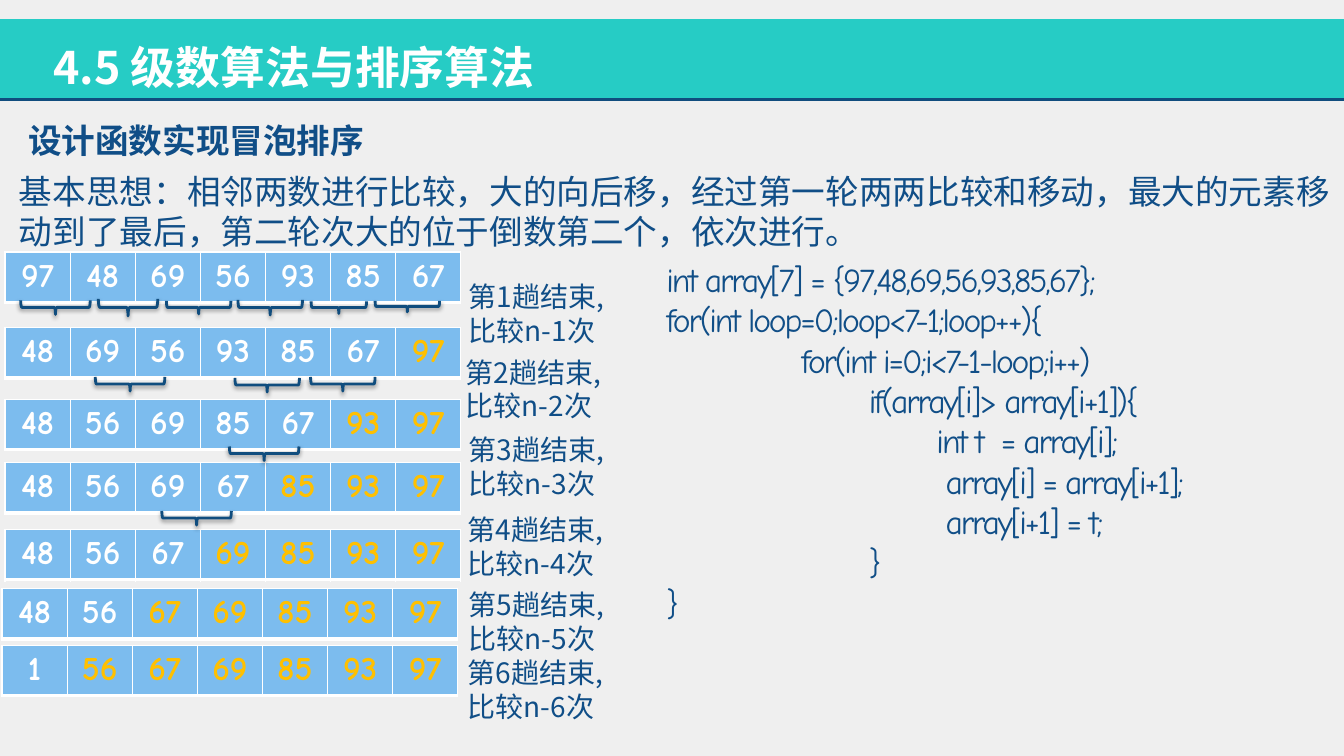
from dataclasses import dataclass

from lxml.etree import SubElement
from pptx import Presentation
from pptx.dml.color import RGBColor
from pptx.enum.shapes import MSO_CONNECTOR as Connector, MSO_SHAPE as Preset
from pptx.enum.text import PP_ALIGN as Align
from pptx.oxml import parse_xml
from pptx.oxml.ns import nsdecls, qn
from pptx.util import Inches, Pt

TEXT_FONT, CODE_FONT = "Noto Sans CJK JP", "Comic Neue"
BACKGROUND, TEAL, LINE_BLUE, TEXT_BLUE = "EFEFEF", "26CCC5", "104D7E", "104E87"
CELL_BLUE, WHITE, SORTED_GOLD = "7CBCEE", "FFFFFF", "FFC000"
CELL_WIDTH, CELL_HEIGHT = 4.52 / 7, 0.5
TAB_STEP, TAB_COUNT = 0.67, 4
LINE_FACTOR = 1.21


@dataclass(frozen=True)
class TextBlock:
    text: str
    left: float
    top: float
    width: float
    height: float
    size: int = 24
    color: str = TEXT_BLUE
    bold: bool = False
    align: Align | None = None


@dataclass(frozen=True)
class Pass:
    """State of the array; the last `settled` numbers are in final place."""
    numbers: tuple[int, ...]
    settled: int
    left: float
    top: float


@dataclass(frozen=True)
class Brace:
    center_x: float
    center_y: float
    span: float = 0.69
    depth: float = 0.14


@dataclass(frozen=True)
class Label:
    left: float
    top: float
    width: float = 1.8


HEADINGS = (
    TextBlock("4.5 级数算法与排序算法", 0.43, 0.34, 6.68, 0.64, 32, WHITE, True),
    TextBlock("设计函数实现冒泡排序", 0.18, 1.14, 4.61, 0.5, bold=True,
              align=Align.JUSTIFY),
    TextBlock("基本思想：相邻两数进行比较，大的向后移，经过第一轮两两比较和移动，"
              "最大的元素移动到了最后，第二轮次大的位于倒数第二个，依次进行。",
              0.09, 1.64, 13.24, 0.91),
)
PASSES = (
    Pass((97, 48, 69, 56, 93, 85, 67), 0, 0.05, 2.5),
    Pass((48, 69, 56, 93, 85, 67, 97), 1, 0.05, 3.25),
    Pass((48, 56, 69, 85, 67, 93, 97), 2, 0.05, 3.96),
    Pass((48, 56, 69, 67, 85, 93, 97), 3, 0.05, 4.59),
    Pass((48, 56, 67, 69, 85, 93, 97), 4, 0.05, 5.25),
    Pass((48, 56, 67, 69, 85, 93, 97), 5, 0.02, 5.84),
    Pass((1, 56, 67, 69, 85, 93, 97), 6, 0.02, 6.4),
)
BRACES = (
    Brace(0.55, 3.05),
    Brace(1.27, 3.05, 0.59, 0.17),
    Brace(1.97, 3.05, 0.64, 0.13),
    Brace(2.68, 3.05, 0.64, 0.15),
    Brace(3.36, 3.05, 0.55, 0.12),
    Brace(4.04, 3.04, 0.64, 0.11),
    Brace(1.29, 3.81),
    Brace(2.65, 3.82, 0.64),
    Brace(3.4, 3.81, 0.64),
    Brace(2.62, 4.5),
    Brace(1.95, 5.14),
)
LABELS = (
    Label(4.55, 2.72, 1.67), Label(4.52, 3.47), Label(4.55, 4.24),
    Label(4.54, 5.03), Label(4.55, 5.78, 1.62), Label(4.54, 6.45, 1.62),
)
CODE = (
    "int array[7] = {97,48,69,56,93,85,67};",
    "for(int loop=0;loop<7-1;loop++){",
    "\t\tfor(int i=0;i<7-1-loop;i++)",
    "\t\t\tif(array[i]> array[i+1]){",
    "\t\t\t\tint t  = array[i];",
    "\t\t\t\t array[i] = array[i+1];",
    "\t\t\t\t array[i+1] = t;",
    "\t\t\t}",
    "}",
)


def rgb(color: str) -> RGBColor:
    return RGBColor.from_string(color)


def add_run(paragraph, text: str, font_name: str, size: int, color: str,
            bold: bool = False):
    run = paragraph.add_run()
    run.text = text
    run.font.name = font_name
    run.font.size = Pt(size)
    run.font.bold = bold
    run.font.color.rgb = rgb(color)
    SubElement(run.font._element, qn("a:ea")).set("typeface", font_name)
    return run


def add_frame(slide, left: float, top: float, width: float, height: float):
    shape = slide.shapes.add_textbox(Inches(left), Inches(top), Inches(width), Inches(height))
    shape.text_frame.word_wrap = True
    return shape.text_frame


def add_text(slide, block: TextBlock) -> None:
    frame = add_frame(slide, block.left, block.top, block.width, block.height)
    paragraph = frame.paragraphs[0]
    paragraph.alignment = block.align
    paragraph.line_spacing = Pt(round(block.size * LINE_FACTOR, 1))
    add_run(paragraph, block.text, TEXT_FONT, block.size, block.color, block.bold)


def add_header(slide) -> None:
    band = slide.shapes.add_shape(Preset.RECTANGLE, 0, Inches(0.19), Inches(13.33), Inches(0.8))
    band.shadow.inherit = False
    band.fill.solid()
    band.fill.fore_color.rgb = rgb(TEAL)
    band.line.fill.background()
    rule = slide.shapes.add_connector(
        Connector.STRAIGHT, 0, Inches(0.99), Inches(13.33), Inches(0.99))
    rule.line.color.rgb = rgb(LINE_BLUE)
    rule.line.width = Pt(2)
    SubElement(rule._element.spPr, qn("a:effectLst"))


def add_cell_borders(cell) -> None:
    properties = cell._tc.get_or_add_tcPr()
    for side, points in (("L", 1), ("R", 1), ("T", 1), ("B", 3)):
        properties.append(parse_xml(
            f'<a:ln{side} {nsdecls("a")} w="{Pt(points)}"><a:solidFill>'
            f'<a:srgbClr val="{WHITE}"/></a:solidFill></a:ln{side}>'))


def add_pass(slide, sort_pass: Pass) -> None:
    count = len(sort_pass.numbers)
    table = slide.shapes.add_table(
        1, count, Inches(sort_pass.left), Inches(sort_pass.top),
        Inches(CELL_WIDTH * count), Inches(CELL_HEIGHT)).table
    table.first_row = table.horz_banding = False
    for index, number in enumerate(sort_pass.numbers):
        cell = table.cell(0, index)
        add_cell_borders(cell)
        cell.fill.solid()
        cell.fill.fore_color.rgb = rgb(CELL_BLUE)
        paragraph = cell.text_frame.paragraphs[0]
        paragraph.alignment = Align.CENTER
        color = SORTED_GOLD if index >= count - sort_pass.settled else WHITE
        add_run(paragraph, str(number), CODE_FONT, 24, color, bold=True)


def add_brace(slide, brace: Brace) -> None:
    shape = slide.shapes.add_shape(
        Preset.RIGHT_BRACE, Inches(brace.center_x - brace.depth / 2),
        Inches(brace.center_y - brace.span / 2), Inches(brace.depth), Inches(brace.span))
    shape.rotation = 90
    shape.fill.background()
    shape.line.color.rgb = rgb(LINE_BLUE)
    shape.line.width = Pt(2)
    shape._element.spPr.append(parse_xml(
        f'<a:effectLst {nsdecls("a")}><a:outerShdw blurRad="{Pt(3.1)}" dist="{Pt(1.6)}" '
        'dir="5400000" rotWithShape="0"><a:srgbClr val="000000"><a:alpha val="38000"/>'
        '</a:srgbClr></a:outerShdw></a:effectLst>'))


def add_code(slide) -> None:
    frame = add_frame(slide, 6.51, 2.52, 6.71, 3.74)
    for index, line in enumerate(CODE):
        paragraph = frame.add_paragraph() if index else frame.paragraphs[0]
        tabs = SubElement(paragraph._p.get_or_add_pPr(), qn("a:tabLst"))
        for stop in range(1, TAB_COUNT + 1):
            SubElement(tabs, qn("a:tab"), pos=str(Inches(TAB_STEP * stop)), algn="l")
        run = add_run(paragraph, line, CODE_FONT, 24, TEXT_BLUE)
        run.font._element.set("spc", "-150")


def main() -> None:
    presentation = Presentation()
    presentation.slide_width, presentation.slide_height = Inches(13.33), Inches(7.5)
    slide = presentation.slides.add_slide(presentation.slide_layouts[6])
    slide.background.fill.solid()
    slide.background.fill.fore_color.rgb = rgb(BACKGROUND)
    add_header(slide)
    for heading in HEADINGS:
        add_text(slide, heading)
    for sort_pass in PASSES:
        add_pass(slide, sort_pass)
    for number, label in enumerate(LABELS, start=1):
        add_text(slide, TextBlock(f"第{number}趟结束,比较n-{number}次",
                                  label.left, label.top, label.width, 0.77, 20))
    add_code(slide)
    for brace in BRACES:
        add_brace(slide, brace)
    presentation.save("out.pptx")


if __name__ == "__main__":
    main()
